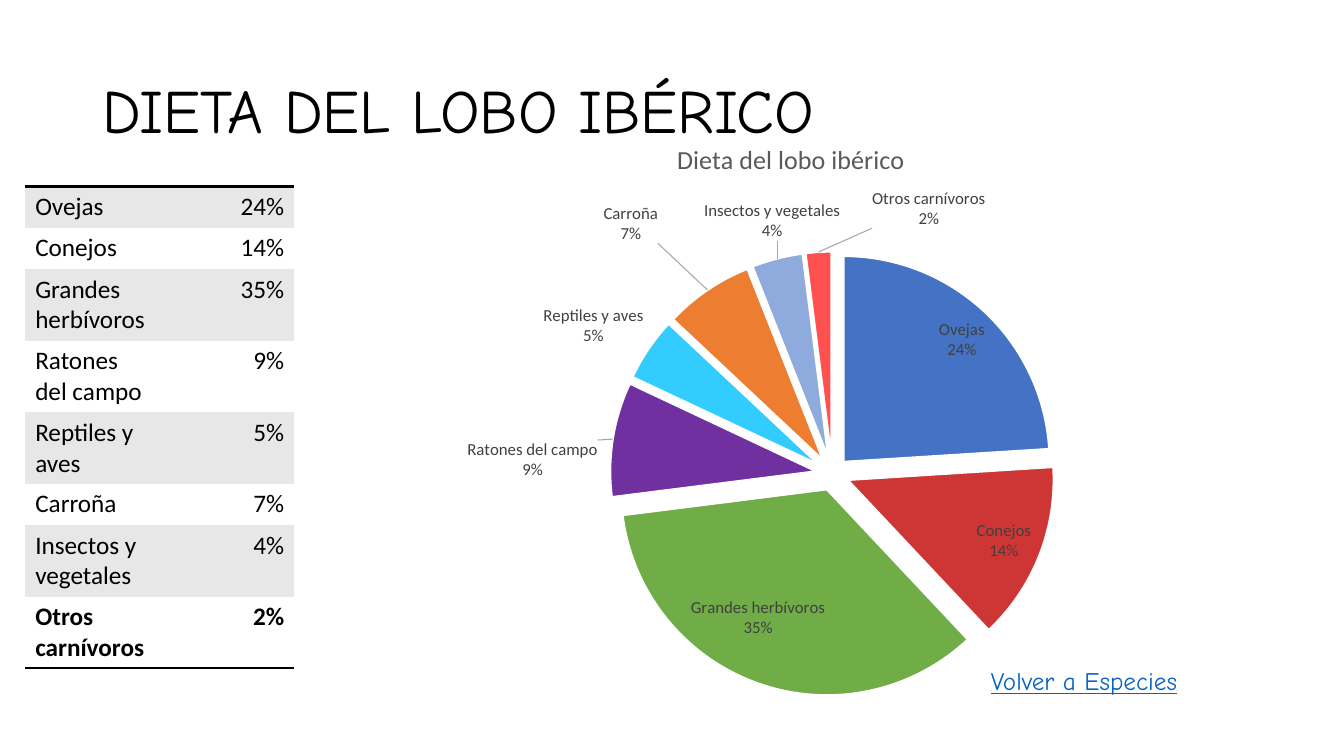
from copy import deepcopy

from pptx import Presentation
from pptx import util as u
from pptx.chart.data import CategoryChartData
from pptx.dml.color import RGBColor
from pptx.enum import chart as ch
from pptx.enum import text as t
from pptx.oxml import parse_xml
from pptx.oxml.ns import nsdecls, qn

Inches, Pt = u.Inches, u.Pt

COLORS = {
    "text": "000000", "band": "E7E7E7", "plain": "FFFFFF", "link": "0563C1",
    "chart_title": "595959", "label": "404040", "leader": "A6A6A6",
}
CHART_TITLE = "Dieta del lobo ibérico"
# food, share in percent, slice colour
DIET = [
    ("Ovejas", 24, "4472C4"),
    ("Conejos", 14, "CE3636"),
    ("Grandes herbívoros", 35, "70AD47"),
    ("Ratones del campo", 9, "7030A0"),
    ("Reptiles y aves", 5, "33CCFF"),
    ("Carroña", 7, "ED7D31"),
    ("Insectos y vegetales", 4, "8FAADC"),
    ("Otros carnívoros", 2, "FF5050"),
]
# slice index: label shift as fractions of the chart's width and height
LABEL_SHIFTS = {3: (-0.01, 0.07), 5: (-0.05, -0.07), 6: (0.07, -0.02), 7: (0.12, -0.03)}
NO_TABLE_STYLE = "{2D5ABB26-0587-4C30-8999-92F81FD0307C}"


def rgb(name):
    return RGBColor.from_string(COLORS[name])


def style_font(font, face, size, color, bold=False):
    font.name, font.size, font.bold = face, Pt(size), bold
    font.color.rgb = rgb(color)


def add_text(slide, wording, box, size, color, anchor=t.MSO_ANCHOR.TOP, underline=False):
    frame = slide.shapes.add_textbox(*map(Inches, box)).text_frame
    frame.word_wrap = True
    frame.vertical_anchor = anchor
    frame.text = wording
    font = frame.paragraphs[0].runs[0].font
    style_font(font, "Comic Neue", size, color)
    font.underline = underline
    return frame


def add_rule(cell, side):
    """Draw a 2 pt line on the cell's side: lnT or lnB."""
    line = parse_xml(
        f'<a:{side} {nsdecls("a")} w="{Pt(2)}"><a:solidFill>'
        f'<a:srgbClr val="{COLORS["text"]}"/></a:solidFill></a:{side}>')
    cell._tc.get_or_add_tcPr().insert(0, line)


def fill_cell(cell, wording, band, align, bold):
    cell.fill.solid()
    cell.fill.fore_color.rgb = rgb(band)
    cell.text_frame.text = wording
    paragraph = cell.text_frame.paragraphs[0]
    paragraph.alignment = align
    style_font(paragraph.runs[0].font, "Calibri", 18, "text", bold)


def add_diet_table(slide):
    last = len(DIET) - 1
    table = slide.shapes.add_table(
        len(DIET), 2, Inches(0.25), Inches(1.85), Inches(2.67), Inches(4.7)).table
    table.first_row = table.horz_banding = False
    table._tbl.tblPr.find(qn("a:tableStyleId")).text = NO_TABLE_STYLE
    for index, (food, share, _) in enumerate(DIET):
        table.rows[index].height = Inches(0.71 if " " in food else 0.41)
        band = "plain" if index % 2 else "band"
        columns = ((food, t.PP_ALIGN.LEFT), (f"{share}%", t.PP_ALIGN.RIGHT))
        for column, (wording, align) in enumerate(columns):
            cell = table.cell(index, column)
            fill_cell(cell, wording, band, align, index == last)
            if index == 0:
                add_rule(cell, "lnT")
            elif index == last:
                add_rule(cell, "lnB")


def manual_layout(**values):
    items = "".join(f'<c:{key} val="{value}"/>' for key, value in values.items())
    return f'<c:layout {nsdecls("c")}><c:manualLayout>{items}</c:manualLayout></c:layout>'


def place_plot(chart):
    plot_area = chart._chartSpace.chart.plotArea
    for layout in plot_area.findall(qn("c:layout")):
        plot_area.remove(layout)
    plot_area.insert(0, parse_xml(manual_layout(
        layoutTarget="inner", xMode="edge", yMode="edge", x=0.32, y=0.25, w=0.45, h=0.69)))


def label_slices(series):
    labels = series.data_labels
    labels.show_value = False
    labels.show_category_name = labels.show_percentage = True
    labels.number_format, labels.number_format_is_linked = "0%", False
    labels.position = ch.XL_LABEL_POSITION.BEST_FIT
    style_font(labels.font, "Calibri", 12, "label")
    group = labels._element
    separator = parse_xml(f'<c:separator {nsdecls("c")}>\n</c:separator>')
    group.find(qn("c:showBubbleSize")).addnext(separator)
    shared = [deepcopy(part) for part in group if part.tag != qn("c:showLeaderLines")]
    for order, (index, (x, y)) in enumerate(LABEL_SHIFTS.items()):
        label = parse_xml(
            f'<c:dLbl {nsdecls("c")}><c:idx val="{index}"/>{manual_layout(x=x, y=y)}</c:dLbl>')
        label.extend(deepcopy(shared))
        group.insert(order, label)
    group.append(parse_xml(
        f'<c:leaderLines {nsdecls("c", "a")}><c:spPr><a:ln w="{Pt(0.75)}"><a:solidFill>'
        f'<a:srgbClr val="{COLORS["leader"]}"/></a:solidFill></a:ln></c:spPr></c:leaderLines>'))


def explode_slices(series):
    for index, (_, _, color) in enumerate(DIET):
        slice_format = series.points[index].format
        slice_format.fill.solid()
        slice_format.fill.fore_color.rgb = RGBColor.from_string(color)
        slice_format.line.color.rgb = rgb("plain")
        slice_format.line.width = Pt(1.5)
        point = series._element.findall(qn("c:dPt"))[index]
        point.find(qn("c:spPr")).addprevious(
            parse_xml(f'<c:explosion {nsdecls("c")} val="8"/>'))


def add_diet_chart(slide):
    data = CategoryChartData()
    data.categories = [food for food, _, _ in DIET]
    data.add_series(CHART_TITLE, [share for _, share, _ in DIET])
    chart = slide.shapes.add_chart(
        ch.XL_CHART_TYPE.PIE, Inches(3.27), Inches(1.18),
        Inches(9.15), Inches(5.92), data).chart
    style_font(chart.font, "Calibri", 10, "text")
    chart.has_legend = False
    heading = chart.chart_title.text_frame
    heading.text = CHART_TITLE
    style_font(heading.paragraphs[0].runs[0].font, "Calibri", 18.6, "chart_title")
    place_plot(chart)
    series = chart.plots[0].series[0]
    explode_slices(series)
    label_slices(series)


def main():
    deck = Presentation()
    deck.slide_width, deck.slide_height = Inches(13.33), Inches(7.5)
    slide = deck.slides.add_slide(deck.slide_layouts[6])
    title = add_text(slide, "DIETA DEL LOBO IBÉRICO", (0.92, 0.4, 11.5, 1.45),
                     44, "text", t.MSO_ANCHOR.MIDDLE)
    title.paragraphs[0].line_spacing = 0.9
    add_diet_table(slide)
    add_diet_chart(slide)
    add_text(slide, "Volver a Especies", (9.73, 6.55, 2.69, 0.4),
             18, "link", underline=True)
    deck.save("out.pptx")


if __name__ == "__main__":
    main()
